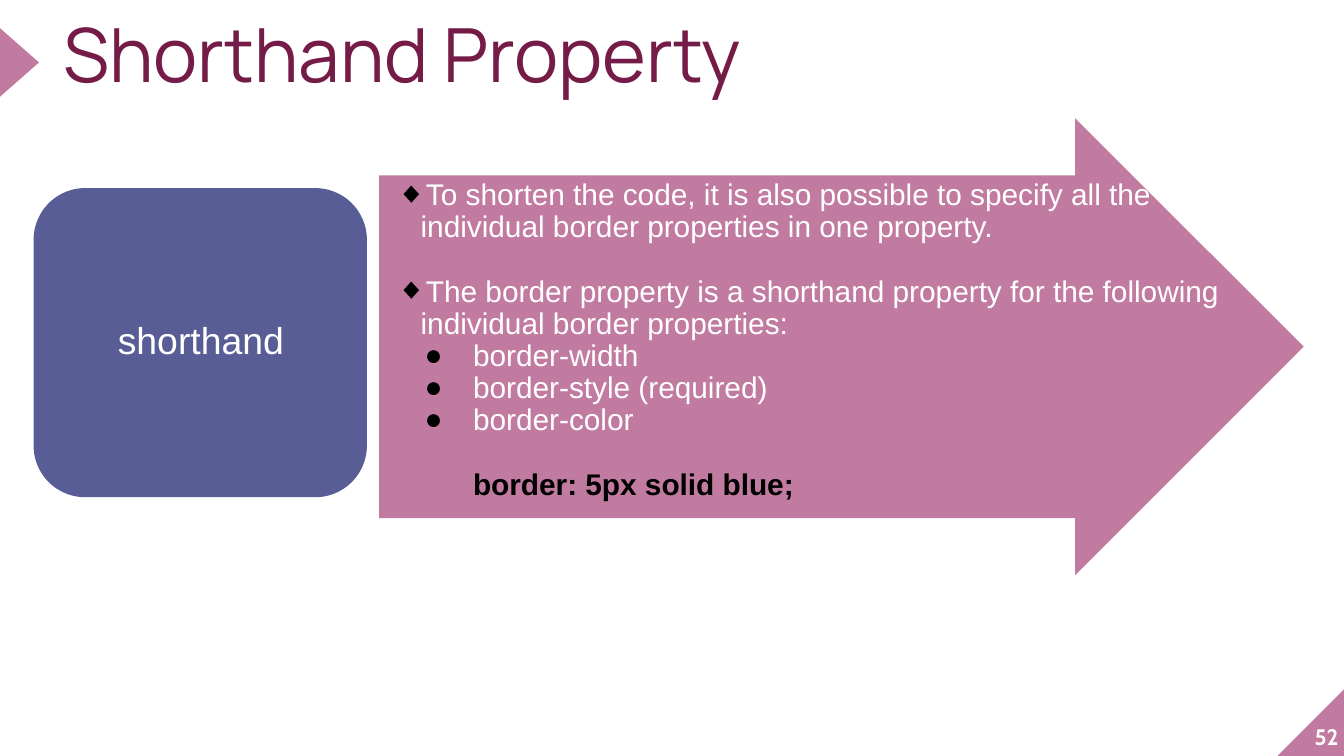
from pptx import Presentation
from pptx.dml.color import RGBColor
from pptx.enum.shapes import MSO_SHAPE
from pptx.enum.text import MSO_ANCHOR, MSO_AUTO_SIZE, PP_ALIGN
from pptx.oxml import parse_xml
from pptx.oxml.ns import nsdecls
from pptx.util import Inches, Pt

PINK, INDIGO, PLUM, WHITE, BLACK = "C27BA0", "585E95", "741B47", "FFFFFF", "000000"
BLANK_LINE = 17.3


def color(value):
    return RGBColor.from_string(value)


class SlideBuilder:
    """Holds the text style and the current slide, and adds each kind of element."""

    style = {"name": "Arial", "size": 16, "color": WHITE, "bold": False}

    def __init__(self, page):
        self.page = page

    def shape(self, kind, frame, fill, adjustments=(), rotation=0):
        shape = self.page.shapes.add_shape(kind, *map(Inches, frame))
        shape.shadow.inherit = False
        shape.fill.solid()
        shape.fill.fore_color.rgb = color(fill)
        shape.line.fill.background()
        shape.rotation = rotation
        for index, value in enumerate(adjustments):
            shape.adjustments[index] = value
        return shape

    def flip(self, shape):
        shape.element.spPr.xfrm.set("flipH", "1")

    def frame_text(self, box, paragraphs, anchor, insets):
        frame = box.text_frame
        frame.word_wrap = True
        frame.auto_size = MSO_AUTO_SIZE.NONE
        frame.vertical_anchor = anchor
        for side, inset in zip(("left", "top", "right", "bottom"), insets):
            setattr(frame, f"margin_{side}", Inches(inset))
        for index, (text, values) in enumerate(paragraphs):
            para = frame.add_paragraph() if index else frame.paragraphs[0]
            self.paragraph(para, text, **values)

    def text(self, frame, paragraphs, anchor, insets=(0, 0, 0, 0)):
        box = self.page.shapes.add_textbox(*map(Inches, frame))
        self.frame_text(box, paragraphs, anchor, insets)

    def title(self, frame, text, values):
        box = self.page.shapes.title
        for name, value in zip(("left", "top", "width", "height"), frame):
            setattr(box, name, Inches(value))
        self.frame_text(box, [(text, values)], MSO_ANCHOR.TOP, (0, 0, 0, 0))

    def paragraph(self, para, text, layout=None, indent=None, bullet=None, **font):
        for name, value in (layout or {}).items():
            setattr(para, name, value)
        properties = para._p.get_or_add_pPr()
        if indent:
            for name, value in zip(("marL", "indent"), indent):
                properties.set(name, str(Inches(value)))
        if bullet:
            for element in (f'buClr {nsdecls("a")}><a:srgbClr val="{BLACK}"/></a:buClr>',
                            f'buFont {nsdecls("a")} typeface="Arial"/>',
                            f'buChar {nsdecls("a")} char="{bullet}"/>'):
                properties.append(parse_xml(f"<a:{element}"))
        span = para.add_run()
        span.text = text
        values = {**self.style, **font}
        span.font.color.rgb = color(values.pop("color"))
        values["size"] = Pt(values["size"])
        for name, value in values.items():
            setattr(span.font, name, value)


def main():
    deck = Presentation()
    deck.slide_width = Inches(10)
    deck.slide_height = deck.slide_width * 9 // 16
    builder = SlideBuilder(deck.slides.add_slide(deck.slide_layouts[5]))

    builder.shape(MSO_SHAPE.ISOSCELES_TRIANGLE, (-0.11, 0.32, 0.51, 0.29), PINK, rotation=90)
    corner = builder.shape(MSO_SHAPE.RIGHT_TRIANGLE, (9.5, 5.12, 0.51, 0.51), PINK)
    builder.flip(corner)
    number = {"layout": {"alignment": PP_ALIGN.RIGHT}, "name": "Cabin", "size": 12, "bold": True}
    builder.text((9.46, 5.07, 0.5, 0.51), [("52", number)], MSO_ANCHOR.BOTTOM)
    builder.title((0.47, 0.19, 6.17, 0.69), "Shorthand Property", {
        "layout": {"alignment": PP_ALIGN.LEFT, "line_spacing": 0.8},
        "name": "Manrope", "size": 40, "color": PLUM})

    builder.shape(MSO_SHAPE.RIGHT_ARROW, (2.82, 0.88, 6.88, 3.4), PINK, (0.75, 0.5))
    builder.shape(MSO_SHAPE.ROUNDED_RECTANGLE, (0.25, 1.4, 2.48, 2.3), INDIGO, (0.167,))
    label = {"layout": {"alignment": PP_ALIGN.CENTER, "line_spacing": 0.9}, "size": 20}
    builder.text((0.29, 1.51, 2.41, 2.08), [("shorthand", label)],
                 MSO_ANCHOR.MIDDLE, (0.08, 0.04, 0.08, 0.04))

    tight = {"line_spacing": 0.9, "space_before": Pt(0)}
    spaced = {**tight, "space_before": Pt(BLANK_LINE)}
    point = {"indent": (0.3, -0.18), "bullet": "◆"}
    item = {"layout": {**tight, "level": 2}, "indent": (0.69, -0.36), "bullet": "●"}
    code = {"layout": spaced, "indent": (0.69, 0), "color": BLACK, "bold": True}
    points = [
        ("To shorten the code, it is also possible to specify all the individual "
         "border properties in one property.", {**point, "layout": {**tight, "level": 1}}),
        ("The border property is a shorthand property for the following individual "
         "border properties:", {**point, "layout": {**spaced, "level": 1}}),
    ]
    items = [(name, item) for name in ("border-width", "border-style (required)", "border-color")]
    builder.text((2.82, 1.38, 6.66, 2.55), points + items + [("border: 5px solid blue;", code)],
                 MSO_ANCHOR.MIDDLE, (0.01, 0.01, 0.01, 0.25))

    deck.save("out.pptx")


if __name__ == "__main__":
    main()
